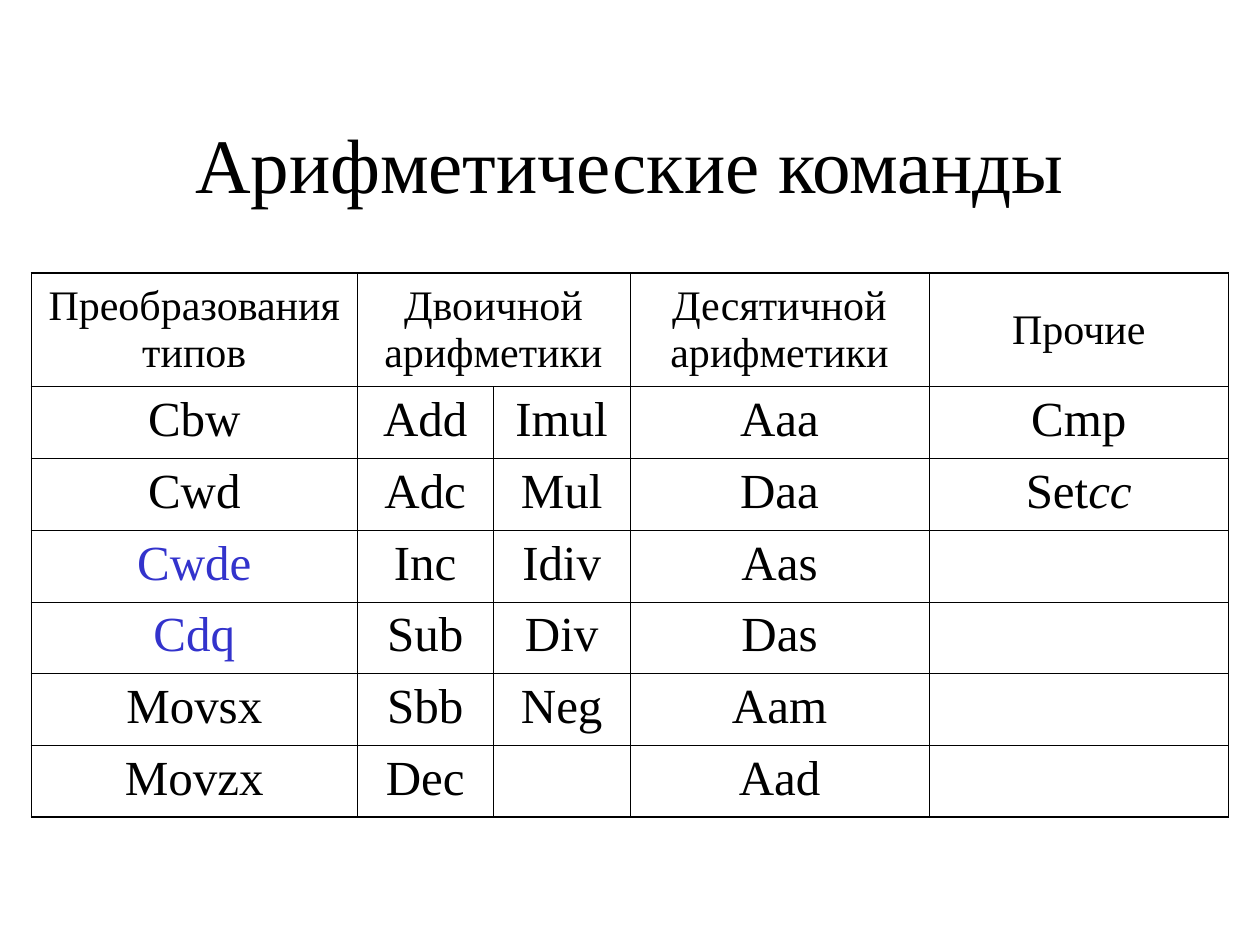
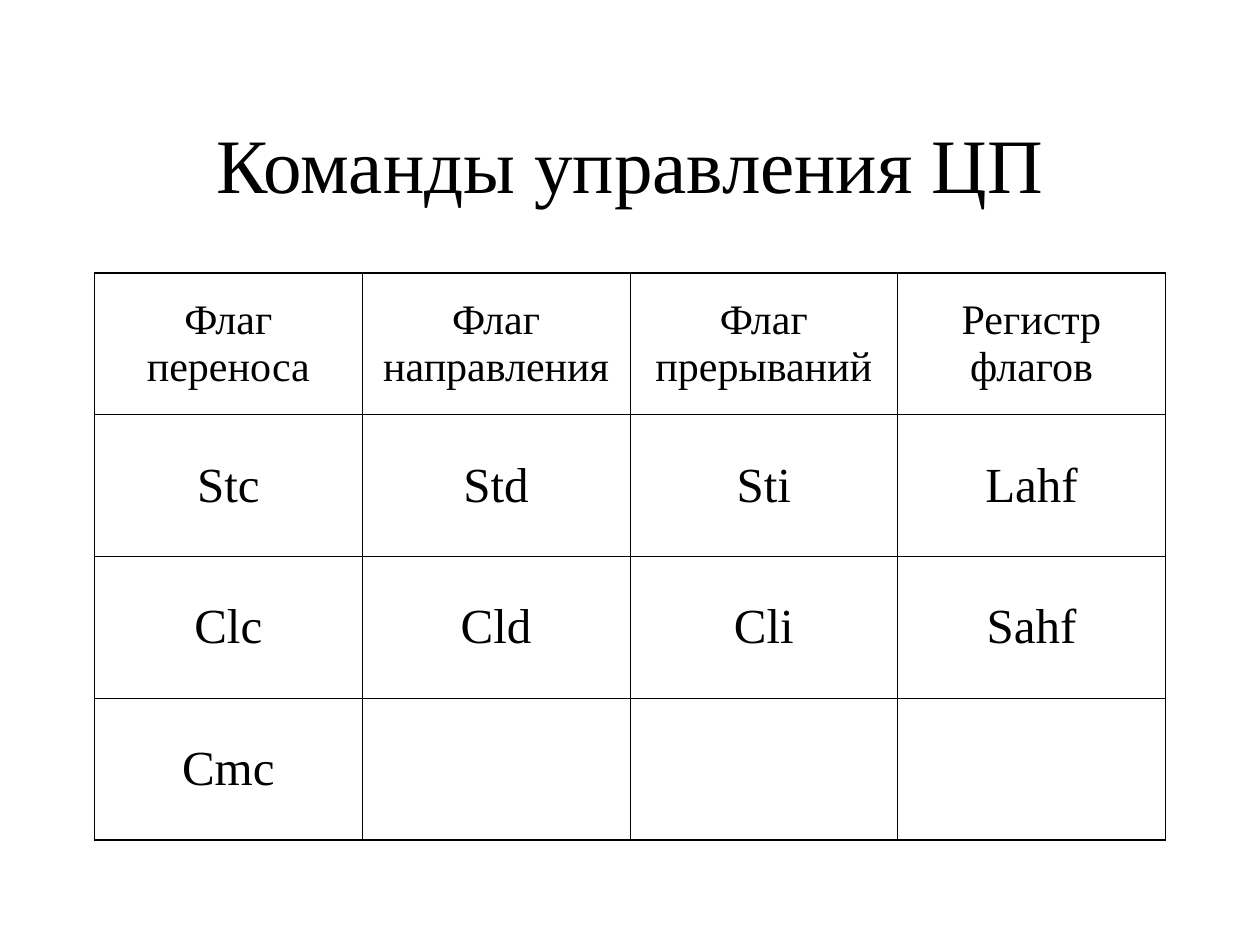
from lxml.etree import SubElement
from pptx import Presentation
from pptx.dml.color import RGBColor
from pptx.enum.text import MSO_ANCHOR, PP_ALIGN
from pptx.oxml.ns import qn
from pptx.util import Pt

COLORS = {"text": "000000", "border": "000000", "accent": "3333CC"}
FONT = "Times New Roman"
THIN, THICK = 0.45, 1.08


def write(tf, *runs, size=28, color="text", italic=False):
    """Write one centred paragraph; a run is a string or (string, its own format)."""
    p = tf.paragraphs[0]
    p.alignment = PP_ALIGN.CENTER
    for run in runs:
        text, own = (run, {}) if isinstance(run, str) else run
        r = p.add_run()
        r.text = text
        r.font.name = FONT
        r.font.size = Pt(size)
        r.font.italic = own.get("italic", italic)
        r.font.color.rgb = RGBColor.from_string(COLORS[own.get("color", color)])


def set_borders(cell, left, right, top, bottom):
    """Set the four border widths, in points; they must come before the fill."""
    tc_pr = cell._tc.get_or_add_tcPr()
    for i, (side, width) in enumerate(zip("LRTB", (left, right, top, bottom))):
        ln = SubElement(tc_pr, qn(f"a:ln{side}"), w=str(int(Pt(width))))
        fill = SubElement(ln, qn("a:solidFill"))
        SubElement(fill, qn("a:srgbClr"), val=COLORS["border"])
        tc_pr.insert(i, ln)


class Deck:
    def __init__(self):
        self.prs = Presentation()
        self.prs.slide_width, self.prs.slide_height = Pt(720), Pt(540)
        self.s = None

    def slide(self, title):
        self.s = self.prs.slides.add_slide(self.prs.slide_layouts[6])
        tf = self.s.shapes.add_textbox(Pt(54), Pt(48), Pt(612), Pt(90)).text_frame
        tf.word_wrap = True
        tf.vertical_anchor = MSO_ANCHOR.MIDDLE
        write(tf, title, size=44)

    def table(self, left, widths, heights, rows, body_anchor, merges=()):
        """Draw a table; merges lists pairs of header columns to join."""
        last_row, last_col = len(heights) - 1, len(widths) - 1
        tbl = self.s.shapes.add_table(len(heights), len(widths), Pt(left), Pt(156),
                                      Pt(sum(widths)), Pt(sum(heights))).table
        tbl.first_row = tbl.horz_banding = False
        for col, width in zip(tbl.columns, widths):
            col.width = Pt(width)
        for row, height in zip(tbl.rows, heights):
            row.height = Pt(height)
        for first, last in merges:
            tbl.cell(0, first).merge(tbl.cell(0, last))

        for i, row in enumerate(rows):
            for j, text in enumerate(row):
                cell = tbl.cell(i, j)
                cell.fill.background()
                set_borders(cell, THIN if j else THICK,
                            THICK if j == last_col else THIN,
                            THIN if i else THICK,
                            THICK if i == last_row else THIN)
                cell.vertical_anchor = body_anchor if i else MSO_ANCHOR.MIDDLE
                if text:
                    runs = [text] if isinstance(text, str) else text
                    write(cell.text_frame, *runs, size=28 if i else 24)


def arithmetic_slide(deck):
    deck.slide("Арифметические команды")
    accent = {"color": "accent"}
    rows = [
        ["Преобразования типов", "Двоичной арифметики", "",
         "Десятичной арифметики", "Прочие"],
        ["Cbw", "Add", "Imul", "Aaa", "Cmp"],
        ["Cwd", "Adc", "Mul", "Daa", ["Set", ("cc", {"italic": True})]],
        [[("Cwde", accent)], "Inc", "Idiv", "Aas", ""],
        [[("Cdq", accent)], "Sub", "Div", "Das", ""],
        ["Movsx", "Sbb", "Neg", "Aam", ""],
        ["Movzx", "Dec", "", "Aad", ""],
    ]
    deck.table(18, [186, 78, 78, 171, 171], [65] + [41] * 6, rows,
               MSO_ANCHOR.TOP, merges=[(1, 2)])


def cpu_control_slide(deck):
    deck.slide("Команды управления ЦП")
    rows = [
        ["Флаг переноса", "Флаг направления", "Флаг прерываний", "Регистр флагов"],
        ["Stc", "Std", "Sti", "Lahf"],
        ["Clc", "Cld", "Cli", "Sahf"],
        ["Cmc", "", "", ""],
    ]
    deck.table(54, [153] * 4, [81] * 4, rows, MSO_ANCHOR.MIDDLE)


def main():
    deck = Deck()
    arithmetic_slide(deck)
    cpu_control_slide(deck)
    deck.prs.save("out.pptx")


if __name__ == "__main__":
    main()
